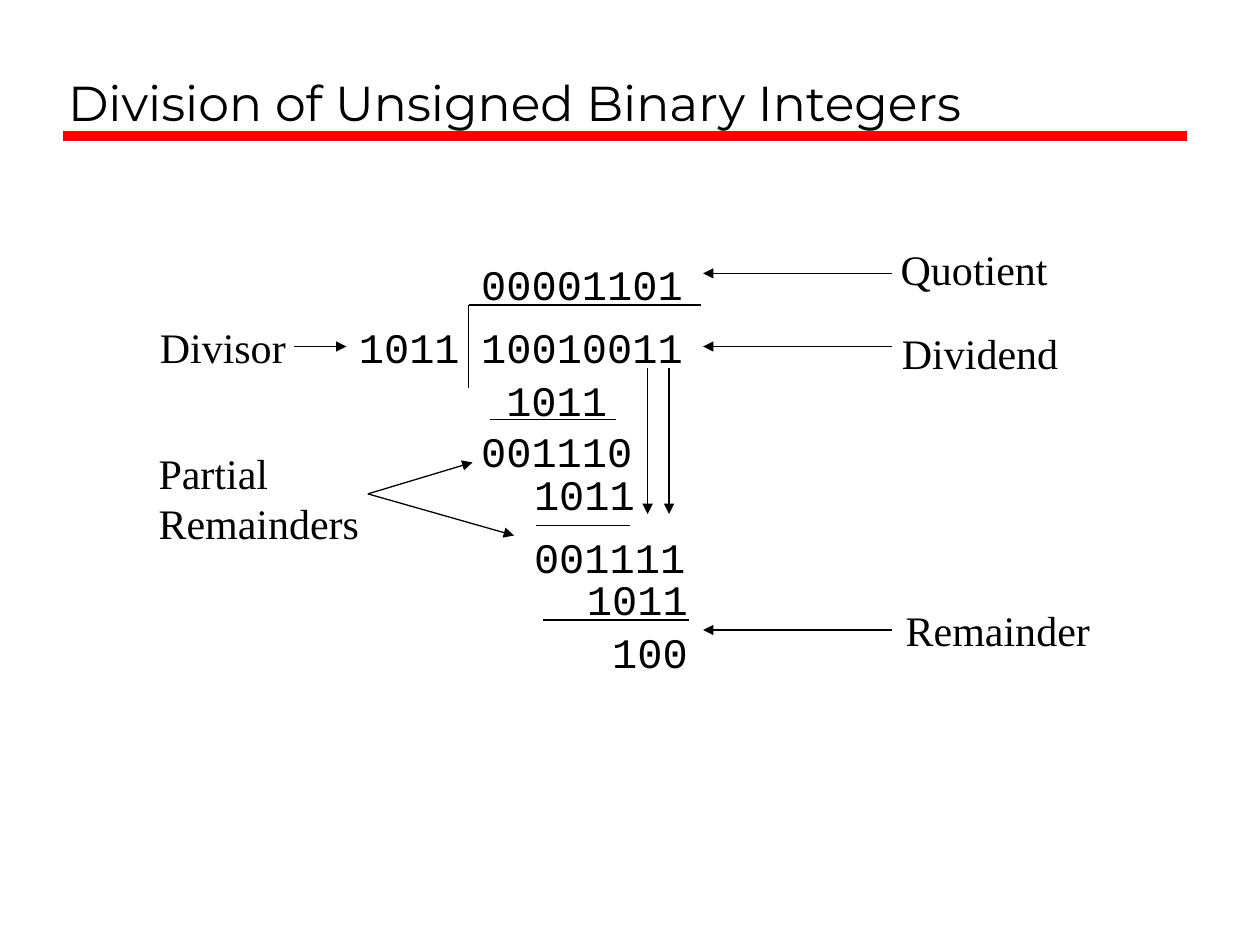
from dataclasses import dataclass

from pptx import Presentation
from pptx.dml.color import RGBColor
from pptx.enum.shapes import MSO_CONNECTOR
from pptx.enum.text import MSO_ANCHOR, PP_ALIGN
from pptx.oxml.ns import qn
from pptx.util import Inches, Pt
from lxml import etree

STRAIGHT = MSO_CONNECTOR.STRAIGHT
LEFT = PP_ALIGN.LEFT
TOP, BOTTOM = MSO_ANCHOR.TOP, MSO_ANCHOR.BOTTOM
LEFT_SIDE = 1


@dataclass(frozen=True)
class Theme:
    ink: RGBColor = RGBColor(0, 0, 0)
    accent: RGBColor = RGBColor(255, 0, 0)
    title_font: str = "Montserrat"
    digit_font: str = "Courier New"
    label_font: str = "Times New Roman"
    title_size: int = 28
    body_size: int = 24
    thin: float = 0.75
    thick: float = 6


THEME = Theme()
TITLE_FORMAT = {"name": THEME.title_font, "size": Pt(THEME.title_size), "bold": False}
DIGIT_FORMAT = {"name": THEME.digit_font, "size": Pt(THEME.body_size)}
LABEL_FORMAT = {"name": THEME.label_font, "size": Pt(THEME.body_size)}
FRAME_FORMAT = {
    "word_wrap": False, "vertical_anchor": TOP,
    "margin_left": Inches(0.1), "margin_right": Inches(0.1),
    "margin_top": Inches(0.05), "margin_bottom": Inches(0.05),
}
ROW_HEIGHT = 0.5

DIVISOR = ("1011", 2.75, 2.5, 1.06)
DIGITS = [
    ("00001101", 3.72, 2, 1.81),
    ("10010011", 3.72, 2.5, 2.08),
    ("1011", 3.92, 2.92, 1.06),
    ("001110", 3.72, 3.33, 1.4),
    ("1011", 4.14, 3.67, 1),
    ("001111", 4.14, 4.17, 1.4),
    ("1011", 4.56, 4.5, 1),
    ("100", 4.76, 4.92, 0.8),
]
LABELS = [
    ("Quotient", 7.05, 1.88, 1.4, ROW_HEIGHT),
    ("Dividend", 7.06, 2.55, 1.44, ROW_HEIGHT),
    ("Remainder", 7.09, 4.75, 1.66, ROW_HEIGHT),
    ("Partial\nRemainders", 1.16, 3.5, 1.79, 0.9),
    ("Divisor", 1.17, 2.5, 1.2, ROW_HEIGHT),
]
BRACKET = [((5.56, 2.42), (3.72, 2.42)), ((3.72, 2.42), (3.72, 3.08))]
SUBTRACTION_RULES = [
    ((3.89, 3.33), (4.89, 3.33)),
    ((5, 4.17), (4.25, 4.17)),
    ((4.31, 4.92), (5.47, 4.92)),
]
BROUGHT_DOWN = [5.14, 5.31]
RESULT_ROWS = [2.17, 2.75, 5]
REMAINDER_FORK = (2.92, 3.92)
REMAINDER_TARGETS = [(3.75, 3.67), (4.08, 4.25)]


def format_text(frame, text, font_format):
    frame.text = text
    for para in frame.paragraphs:
        para.alignment = LEFT
        para.font.color.rgb = THEME.ink
        for name, value in font_format.items():
            setattr(para.font, name, value)


def add_title(page, text):
    title = page.shapes.title
    place = {"left": 0.44, "top": 0.17, "width": 8.97, "height": 0.92}
    for name, value in place.items():
        setattr(title, name, Inches(value))
    title.text_frame.vertical_anchor = BOTTOM
    format_text(title.text_frame, text, TITLE_FORMAT)


def add_text(page, text, left, top, width, height, font_format):
    box = page.shapes.add_textbox(
        Inches(left), Inches(top), Inches(width), Inches(height))
    for name, value in FRAME_FORMAT.items():
        setattr(box.text_frame, name, value)
    format_text(box.text_frame, text, font_format)
    return box


def add_digits(page, text, left, top, width):
    return add_text(page, text, left, top, width, ROW_HEIGHT, DIGIT_FORMAT)


def add_line(page, start, end, color=THEME.ink, weight=THEME.thin):
    line = page.shapes.add_connector(
        STRAIGHT, *(Inches(value) for value in (*start, *end)))
    line.line.color.rgb = color
    line.line.width = Pt(weight)
    etree.SubElement(line._element.spPr, qn("a:effectLst"))
    return line


def add_arrow(page, start, end):
    arrow = add_line(page, start, end)
    outline = arrow.line._get_or_add_ln()
    etree.SubElement(outline, qn("a:tailEnd"), type="triangle")
    return arrow


def main():
    deck = Presentation()
    deck.slide_width, deck.slide_height = Inches(10), Inches(7.5)
    page = deck.slides.add_slide(deck.slide_layouts.get_by_name("Title Only"))

    add_line(page, (0.5, 1.08), (9.42, 1.08), THEME.accent, THEME.thick)
    add_title(page, "Division of Unsigned Binary Integers")

    divisor = add_digits(page, *DIVISOR)
    for row in DIGITS:
        add_digits(page, *row)
    for label in LABELS:
        add_text(page, *label, LABEL_FORMAT)

    for start, end in BRACKET + SUBTRACTION_RULES:
        add_line(page, start, end)
    for x in BROUGHT_DOWN:
        add_arrow(page, (x, 2.92), (x, 4.08))
    for y in RESULT_ROWS:
        add_arrow(page, (7.08, y), (5.58, y))
    for target in REMAINDER_TARGETS:
        add_arrow(page, REMAINDER_FORK, target)
    divisor_arrow = add_arrow(page, (2.33, 2.75), (2.75, 2.75))
    divisor_arrow.end_connect(divisor, LEFT_SIDE)

    deck.save("out.pptx")


if __name__ == "__main__":
    main()
